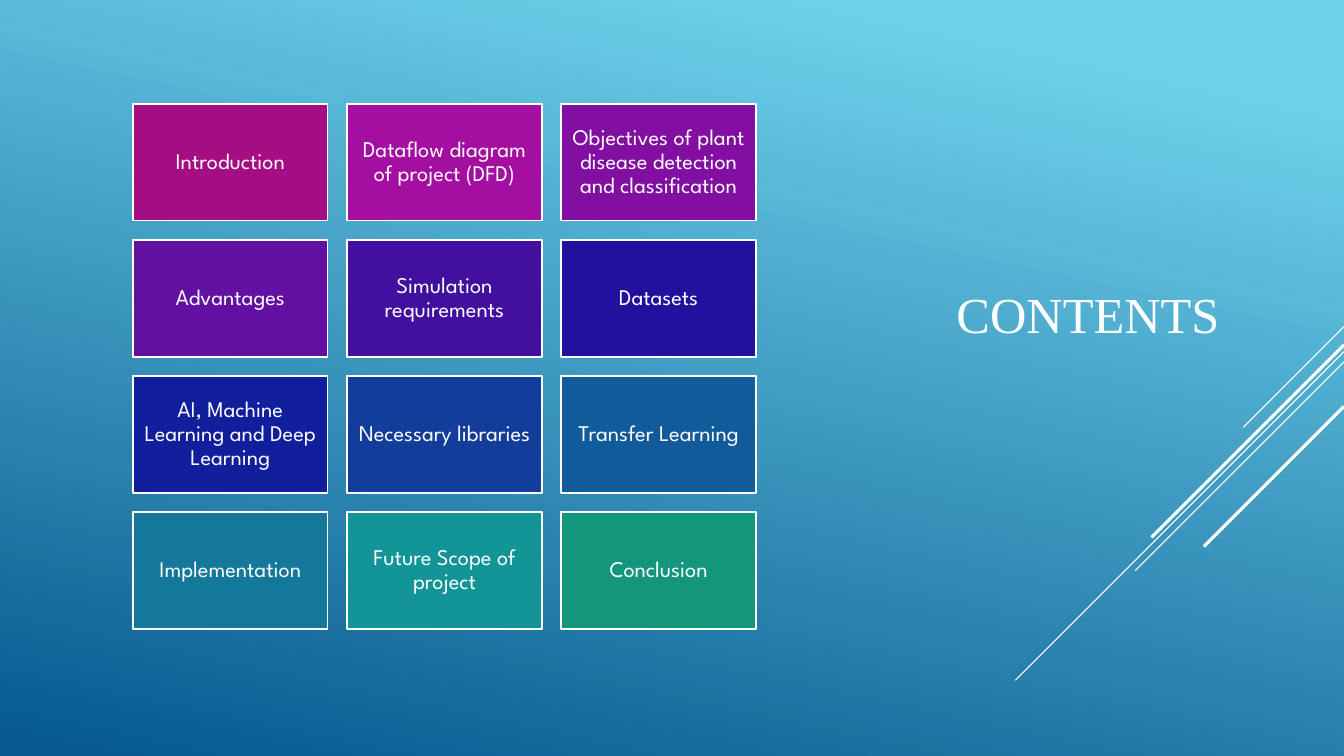
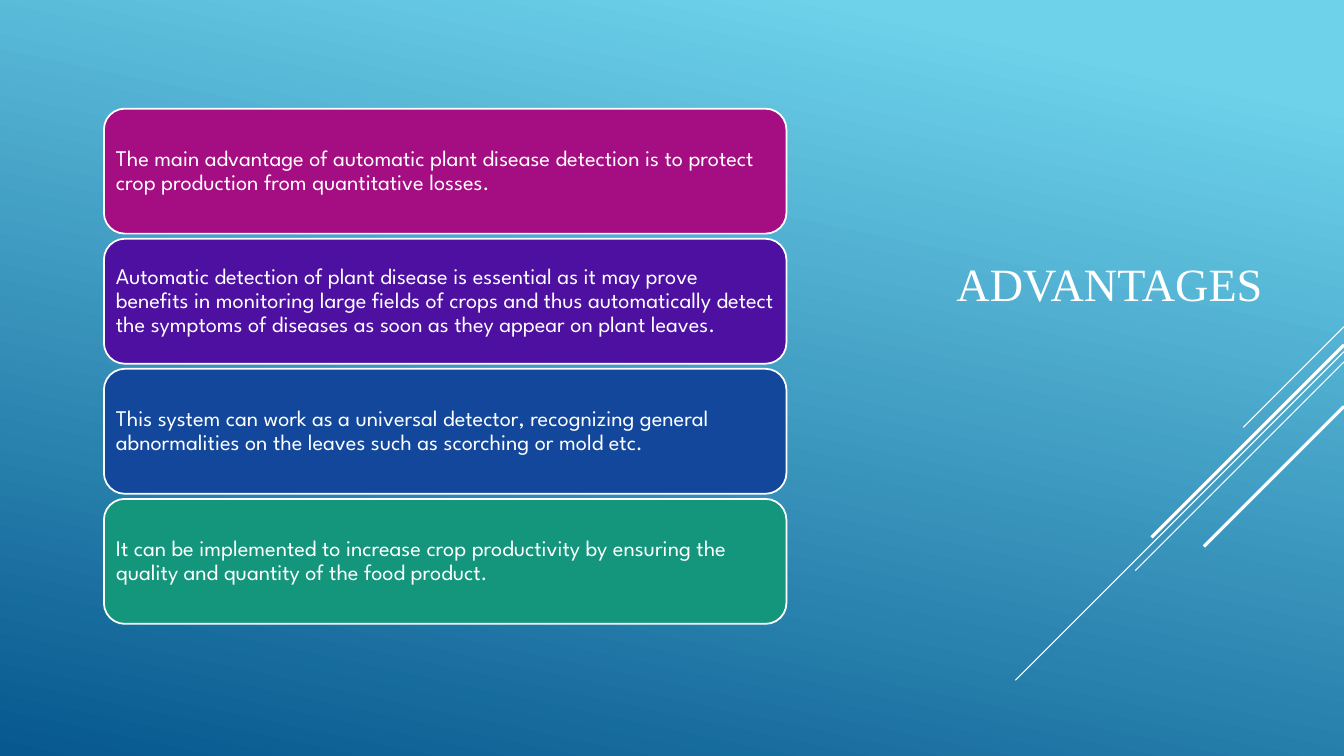
from dataclasses import dataclass
from lxml.etree import SubElement
from pptx import Presentation
from pptx.dml.color import RGBColor
from pptx.enum.shapes import MSO_CONNECTOR, MSO_SHAPE
from pptx.enum.text import MSO_ANCHOR, MSO_AUTO_SIZE, PP_ALIGN
from pptx.oxml.ns import qn
from pptx.util import Cm, Pt


@dataclass(frozen=True)
class Theme:
    white: str = "FFFFFF"
    sky: str = "6ED2EB"
    deep: str = "06588E"
    tiles: tuple = ("A50E82", "A40FA2", "830FA2", "6210A1", "42109F", "23119E",
                    "111F9D", "123D9B", "125B9A", "137899", "139597", "14967C")
    bars: tuple = ("A50E82", "4D10A0", "12479B", "14967C")
    title_font: str = "Times New Roman"
    body_font: str = "League Spartan"
    body_size: float = 16
    contents_size: float = 36
    advantages_size: float = 33
    border: float = 1.25
    thin: float = 0.75
    thick: float = 2.25


@dataclass(frozen=True)
class Box:
    x: float
    y: float
    w: float
    h: float

    def place(self, shape):
        shape.left, shape.top = Cm(self.x), Cm(self.y)
        shape.width, shape.height = Cm(self.w), Cm(self.h)

    def grid(self, cols, rows, gap):
        w = (self.w - gap * (cols - 1)) / cols
        h = (self.h - gap * (rows - 1)) / rows
        return [Box(self.x + c * (w + gap), self.y + r * (h + gap), w, h)
                for r in range(rows) for c in range(cols)]


T = Theme()
PAGE = Box(0, 0, 33.87, 19.05)
TITLE = Box(23.85, 2.62, 8.46, 9.02)
LOW_TITLE = Box(23.85, 3.38, 8.46, 9.02)
TILES = Box(3.35, 2.62, 15.7, 13.23)
BARS = Box(2.62, 2.74, 17.2, 12.98)
STREAKS = [(8.23, 2.54, T.thin), (8.86, 8.28, T.thin), (9.12, 5.26, T.thin),
           (8.69, 4.85, T.thick), (10.24, 3.53, T.thick)]

CONTENTS = ["Introduction", "Dataflow diagram of project (DFD)",
            "Objectives of plant disease detection and classification",
            "Advantages", "Simulation requirements", "Datasets",
            "AI, Machine Learning and Deep Learning", "Necessary libraries",
            "Transfer Learning", "Implementation", "Future Scope of project",
            "Conclusion"]
ADVANTAGES = [
    "The main advantage of automatic plant disease detection is to protect "
    "crop production from quantitative losses.",
    "Automatic detection of plant disease is essential as it may prove "
    "benefits in monitoring large fields of crops and thus automatically "
    "detect the symptoms of diseases as soon as they appear on plant leaves.",
    "This system can work as a universal detector, recognizing general "
    "abnormalities on the leaves such as scorching or mold etc.",
    "It can be implemented to increase crop productivity by ensuring the "
    "quality and quantity of the food product.",
]


def rgb(color):
    return RGBColor.from_string(color)


def add_run(p, text, font, size):
    r = p.add_run()
    r.text = text
    r.font.name, r.font.size = font, Pt(size)
    r.font.color.rgb = rgb(T.white)


def paint_background(master):
    fill = master.background.fill
    fill.gradient()
    fill.gradient_angle = 258
    for stop, color, position in zip(fill.gradient_stops, (T.sky, T.deep), (0.1, 1)):
        stop.color.rgb = rgb(color)
        stop.position = position


def add_streaks(layout, s, box):
    right = box.x + box.w
    for top, run, weight in STREAKS:
        line = s.shapes.add_connector(MSO_CONNECTOR.STRAIGHT, Cm(right), Cm(top),
                                      Cm(right - run), Cm(top + run))
        line.line.color.rgb = rgb(T.white)
        line.line.width = Pt(weight)
        SubElement(line.element.spPr, qn("a:effectLst"))
        layout.shapes.element.append(line.element)


def add_title(s, box, text, size):
    sp = s.shapes.title
    box.place(sp)
    tf = sp.text_frame
    tf.word_wrap = True
    tf.auto_size = MSO_AUTO_SIZE.NONE
    tf.vertical_anchor = MSO_ANCHOR.MIDDLE
    p = tf.paragraphs[0]
    p.alignment = PP_ALIGN.LEFT
    add_run(p, text, T.title_font, size)


def add_card(s, box, preset, color, text, align, inset):
    sp = s.shapes.add_shape(preset, Cm(box.x), Cm(box.y), Cm(box.w), Cm(box.h))
    sp.shadow.inherit = False
    sp.fill.solid()
    sp.fill.fore_color.rgb = rgb(color)
    sp.line.color.rgb = rgb(T.white)
    sp.line.width = Pt(T.border)
    tf = sp.text_frame
    tf.word_wrap = True
    tf.vertical_anchor = MSO_ANCHOR.MIDDLE
    tf.margin_left = tf.margin_right = tf.margin_top = tf.margin_bottom = Cm(inset)
    p = tf.paragraphs[0]
    p.alignment = align
    p.line_spacing = 0.9
    add_run(p, text, T.body_font, T.body_size)


def add_tiles(s, box):
    for cell, color, text in zip(box.grid(3, 4, 0.49), T.tiles, CONTENTS):
        add_card(s, cell, MSO_SHAPE.RECTANGLE, color, text, PP_ALIGN.CENTER, 0.18)


def add_bars(s, box):
    for cell, color, text in zip(box.grid(1, 4, 0.13), T.bars, ADVANTAGES):
        add_card(s, cell, MSO_SHAPE.ROUNDED_RECTANGLE, color, text, PP_ALIGN.LEFT, 0.15)


def main():
    prs = Presentation()
    prs.slide_width, prs.slide_height = Cm(PAGE.w), Cm(PAGE.h)
    layout = prs.slide_layouts[5]
    paint_background(prs.slide_master)

    s = prs.slides.add_slide(layout)
    add_streaks(layout, s, PAGE)
    add_title(s, LOW_TITLE, "CONTENTS", T.contents_size)
    add_tiles(s, TILES)

    s = prs.slides.add_slide(layout)
    add_title(s, TITLE, "ADVANTAGES", T.advantages_size)
    add_bars(s, BARS)
    prs.save("out.pptx")


if __name__ == "__main__":
    main()
